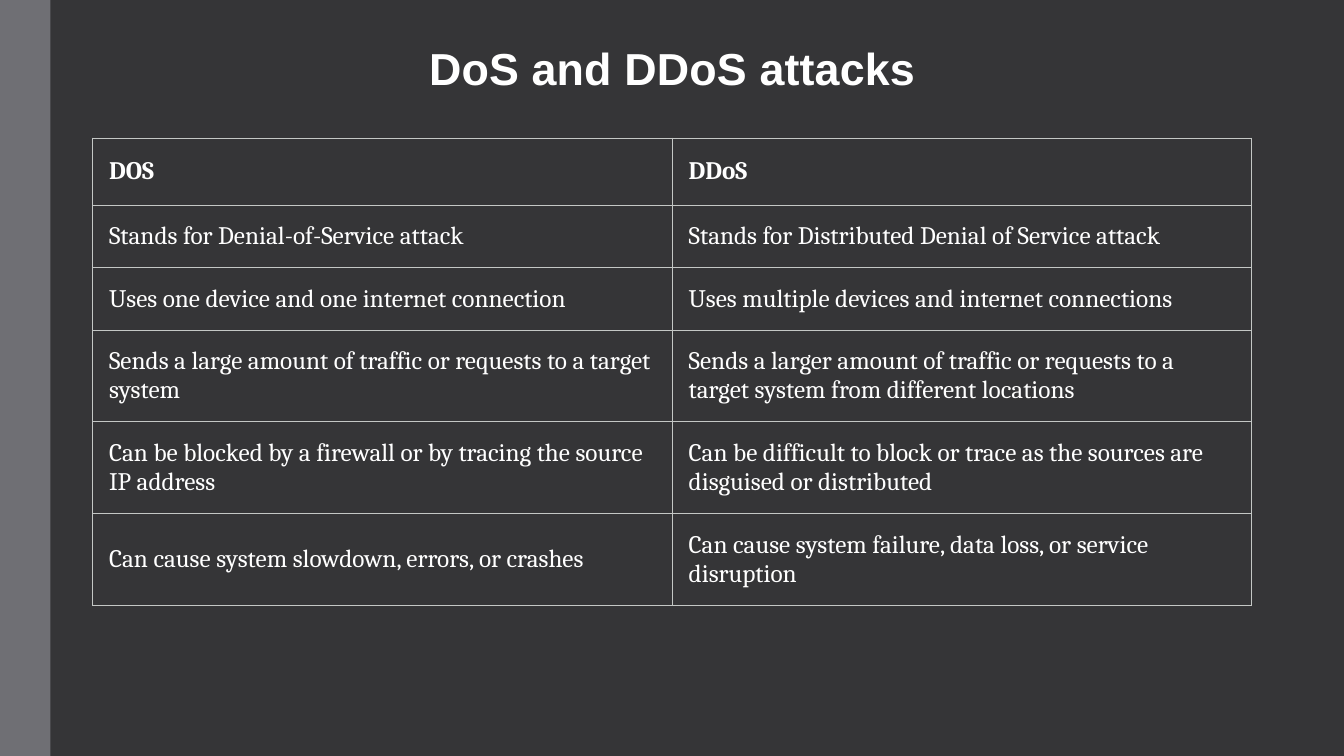
from lxml import etree
from pptx import Presentation
from pptx.dml.color import RGBColor
from pptx.enum.shapes import MSO_SHAPE
from pptx.enum.text import MSO_ANCHOR, PP_ALIGN
from pptx.oxml.ns import qn
from pptx.util import Pt

RECT = MSO_SHAPE.RECTANGLE
MIDDLE = MSO_ANCHOR.MIDDLE
CENTER = PP_ALIGN.CENTER
COLORS = {"back": "353537", "bar": "6F6F74", "line": "C4C7C5", "text": "FFFFFF"}
LEFT, WIDTH = 66.24, 828


def add_run(para, text, font, size, bold):
    run = para.add_run()
    run.text = text
    run.font.name = font
    run.font.size = Pt(size)
    run.font.bold = bold
    run.font.color.rgb = RGBColor.from_string(COLORS["text"])
    return run


def add_borders(cell):
    props = cell._tc.get_or_add_tcPr()
    for index, side in enumerate(("lnL", "lnR", "lnT", "lnB")):
        line = etree.Element(qn("a:" + side), w=str(Pt(0.75)))
        fill = etree.SubElement(line, qn("a:solidFill"))
        etree.SubElement(fill, qn("a:srgbClr"), val=COLORS["line"])
        props.insert(index, line)


# Slide and background
prs = Presentation()
prs.slide_width, prs.slide_height = Pt(960), Pt(540)
slide = prs.slides.add_slide(prs.slide_layouts[6])
back = slide.background.fill
back.solid()
back.fore_color.rgb = RGBColor.from_string(COLORS["back"])

# Side bar
bar = slide.shapes.add_shape(RECT, 0, 0, Pt(36), Pt(540))
bar.shadow.inherit = False
bar.fill.solid()
bar.fill.fore_color.rgb = RGBColor.from_string(COLORS["bar"])
bar.line.fill.background()

# Comparison table
rows = [
    ("DOS", "DDoS"),
    ("Stands for Denial-of-Service attack",
     "Stands for Distributed Denial of Service attack"),
    ("Uses one device and one internet connection",
     "Uses multiple devices and internet connections"),
    ("Sends a large amount of traffic or requests to a target system",
     "Sends a larger amount of traffic or requests to a target system "
     "from different locations"),
    ("Can be blocked by a firewall or by tracing the source IP address",
     "Can be difficult to block or trace as the sources are disguised "
     "or distributed"),
    ("Can cause system slowdown, errors, or crashes",
     "Can cause system failure, data loss, or service disruption"),
]
heights = [48, 44.6, 44.6, 65.6, 65.6, 65.6]
table = slide.shapes.add_table(
    len(rows), 2, Pt(LEFT), Pt(98.6), Pt(WIDTH), Pt(sum(heights))).table
table.horz_banding = False
for col in table.columns:
    col.width = Pt(WIDTH / 2)
for r, (texts, height) in enumerate(zip(rows, heights)):
    table.rows[r].height = Pt(height)
    for c, text in enumerate(texts):
        cell = table.cell(r, c)
        cell.fill.background()
        cell.vertical_anchor = MIDDLE
        cell.margin_left = cell.margin_right = Pt(11.7)
        cell.margin_top = cell.margin_bottom = Pt(11.7 if r else 13.4)
        add_borders(cell)
        add_run(cell.text_frame.paragraphs[0], text, "Cambria", 18, r == 0)

# Title
title = slide.shapes.add_textbox(Pt(LEFT), Pt(25.2), Pt(WIDTH), Pt(46))
frame = title.text_frame
frame.word_wrap = True
frame.vertical_anchor = MIDDLE
para = frame.paragraphs[0]
para.alignment = CENTER
run = add_run(para, "DoS and DDoS attacks", "Arial", 32, True)
run.font._element.set("spc", "10")

prs.save("out.pptx")
